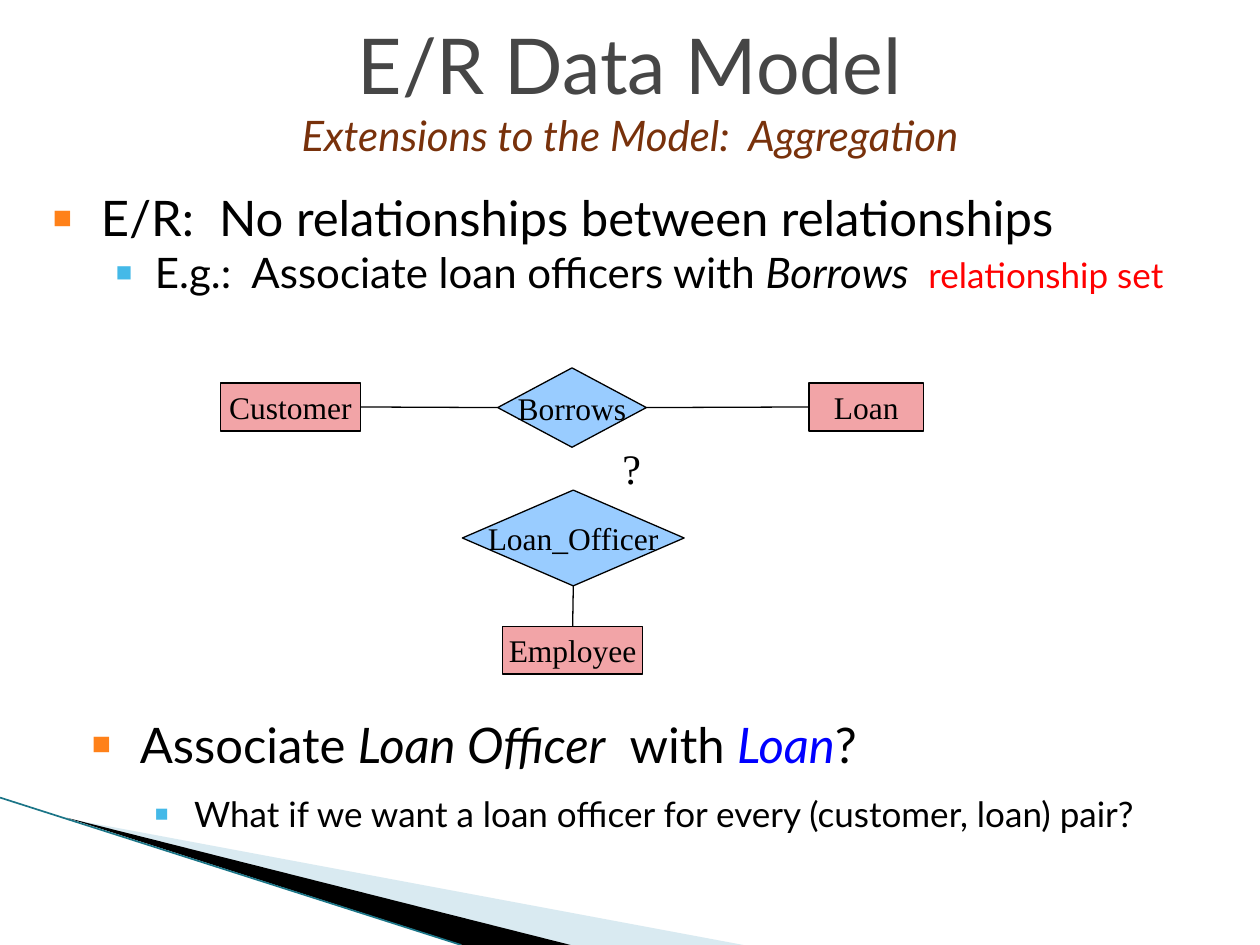
from dataclasses import dataclass

from lxml import etree
from pptx import Presentation
from pptx.dml.color import RGBColor
from pptx.enum.shapes import MSO_CONNECTOR, MSO_SHAPE
from pptx.enum.text import MSO_ANCHOR, MSO_AUTO_SIZE, PP_ALIGN
from pptx.oxml.ns import qn
from pptx.util import Inches, Pt

RECTANGLE, DIAMOND = MSO_SHAPE.RECTANGLE, MSO_SHAPE.DIAMOND
STRAIGHT = MSO_CONNECTOR.STRAIGHT
TOP, MIDDLE = MSO_ANCHOR.TOP, MSO_ANCHOR.MIDDLE
LEFT, CENTER = PP_ALIGN.LEFT, PP_ALIGN.CENTER
NO_AUTOFIT, GROW = MSO_AUTO_SIZE.NONE, MSO_AUTO_SIZE.SHAPE_TO_FIT_TEXT
SIDE_TOP, SIDE_LEFT, SIDE_BOTTOM, SIDE_RIGHT = range(4)


@dataclass(frozen=True)
class Theme:
    text_font: str = "Lato"
    diagram_font: str = "Times New Roman"
    title: str = "464646"
    subtitle: str = "78310B"
    text: str = "000000"
    alert: str = "FF0000"
    highlight: str = "0000FF"
    entity: str = "F2A4A7"
    relationship: str = "99CCFF"
    pale_wedge: str = "A0CBDC"
    edge: str = "1B7587"
    bullets: tuple = ("FF8119", "44B9E8")
    indents: tuple = ((0.38, -0.38), (0.81, -0.31))
    title_size: int = 44
    heading_size: int = 28
    body_size: int = 24
    detail_size: int = 20
    diagram_size: int = 18
    line_width: float = 0.75


class SlideBuilder:
    def __init__(self, slide, theme):
        self.slide = slide
        self.theme = theme

    def place(self, shape, left, top, width, height):
        box = {"left": left, "top": top, "width": width, "height": height}
        for name, value in box.items():
            setattr(shape, name, Inches(value))

    def frame(self, shape, **settings):
        for name, value in settings.items():
            setattr(shape.text_frame, name, value)
        return shape.text_frame

    def run(self, paragraph, text, size, color=None, font=None, italic=False):
        run = paragraph.add_run()
        run.text = text
        values = {"name": font or self.theme.text_font, "size": Pt(size),
                  "italic": italic, "bold": False}
        for name, value in values.items():
            setattr(run.font, name, value)
        run.font.color.rgb = RGBColor.from_string(color or self.theme.text)

    def title(self, box, heading, subtitle):
        theme, shape = self.theme, self.slide.shapes.title
        self.place(shape, *box)
        frame = self.frame(shape, vertical_anchor=MIDDLE, word_wrap=True,
                           auto_size=NO_AUTOFIT)
        paragraph = frame.paragraphs[0]
        paragraph.alignment = CENTER
        self.run(paragraph, heading, theme.title_size, theme.title)
        paragraph.add_line_break()
        self.run(paragraph, subtitle, theme.body_size, theme.subtitle, italic=True)

    def bullet(self, paragraph, level):
        properties = paragraph._p.get_or_add_pPr()
        margin, indent = self.theme.indents[level]
        properties.set("marL", str(Inches(margin)))
        properties.set("indent", str(Inches(indent)))
        color = etree.SubElement(properties, qn("a:buClr"))
        etree.SubElement(color, qn("a:srgbClr"), val=self.theme.bullets[level])
        etree.SubElement(properties, qn("a:buSzPct"), val="65000")
        etree.SubElement(properties, qn("a:buChar"), char="■")

    def bullet_list(self, index, box, items):
        """Fill a body placeholder; an item is (runs, space before, line spacing)."""
        shape = self.slide.placeholders[index]
        self.place(shape, *box)
        frame = self.frame(shape, vertical_anchor=TOP, word_wrap=True,
                           auto_size=NO_AUTOFIT)
        for level, (runs, space_before, line_spacing) in enumerate(items):
            paragraph = frame.add_paragraph() if level else frame.paragraphs[0]
            self.bullet(paragraph, level)
            values = {"level": level, "alignment": LEFT, "line_spacing": line_spacing,
                      "space_before": Pt(space_before), "space_after": Pt(0)}
            for name, value in values.items():
                setattr(paragraph, name, value)
            for text, style in runs:
                self.run(paragraph, text, **style)

    def node(self, kind, box, color, text):
        shape = self.slide.shapes.add_shape(kind, *map(Inches, box))
        shape.shadow.inherit = False
        shape.fill.solid()
        shape.fill.fore_color.rgb = RGBColor.from_string(color)
        shape.line.color.rgb = RGBColor.from_string(self.theme.text)
        shape.line.width = Pt(self.theme.line_width)
        frame = self.frame(shape, vertical_anchor=MIDDLE, word_wrap=False)
        paragraph = frame.paragraphs[0]
        paragraph.alignment = CENTER
        self.run(paragraph, text, self.theme.diagram_size,
                 font=self.theme.diagram_font)
        return shape

    def label(self, box, text, size):
        shape = self.slide.shapes.add_textbox(*map(Inches, box))
        frame = self.frame(shape, word_wrap=False, auto_size=GROW)
        self.run(frame.paragraphs[0], text, size, font=self.theme.diagram_font)

    def line(self, start, end, color, width):
        connector = self.slide.shapes.add_connector(
            STRAIGHT, *map(Inches, (*start, *end)))
        connector.line.color.rgb = RGBColor.from_string(color)
        connector.line.width = Pt(width)
        etree.SubElement(connector._element.spPr, qn("a:effectLst"))
        return connector

    def link(self, first, first_side, second, second_side):
        connector = self.line((0, 0), (1, 1), self.theme.text, self.theme.line_width)
        connector.begin_connect(first, first_side)
        connector.end_connect(second, second_side)

    def wedge(self, points, color, opacity=100):
        start, *others = [tuple(map(Inches, point)) for point in points]
        builder = self.slide.shapes.build_freeform(*start)
        builder.add_line_segments(others, close=True)
        shape = builder.convert_to_shape()
        shape.shadow.inherit = False
        shape.fill.solid()
        shape.fill.fore_color.rgb = RGBColor.from_string(color)
        shape.line.fill.background()
        if opacity < 100:
            fill_color = shape._element.spPr.find(f".//{qn('a:srgbClr')}")
            etree.SubElement(fill_color, qn("a:alpha"), val=str(opacity * 1000))
        return shape

    def corner(self):
        """Draw the corner decoration behind everything else."""
        theme = self.theme
        parts = [
            self.wedge([(0.55, 6.5), (5.9, 7.5), (4.52, 7.5)], theme.pale_wedge, 40),
            self.wedge([(0.53, 6.49), (4.53, 7.5), (3.67, 7.5)], theme.text),
            self.line((0, 6.33), (3.66, 7.5), theme.edge, 0.95),
        ]
        tree = self.slide.shapes._spTree
        for position, part in enumerate(parts, start=2):
            tree.insert(position, part._element)


def main():
    theme = Theme()
    presentation = Presentation()
    presentation.slide_width, presentation.slide_height = Inches(10), Inches(7.5)
    two_content = presentation.slide_layouts[3]
    builder = SlideBuilder(presentation.slides.add_slide(two_content), theme)

    builder.corner()
    builder.title((0, 0.08, 10, 1.25), "E/R Data Model",
                  "Extensions to the Model:  Aggregation")

    heading = {"size": theme.heading_size}
    body = {"size": theme.body_size}
    detail = {"size": theme.detail_size}
    builder.bullet_list(1, (0.32, 1.44, 9.5, 0.66), [
        ([("E/R:  No relationships between relationships", heading)], 0, 1.0),
        ([("E.g.:  Associate loan officers with ", body),
          ("Borrows  ", {**body, "italic": True}),
          ("relationship set", {**detail, "color": theme.alert})], 0, 1.0),
    ])
    builder.bullet_list(2, (0.63, 5.62, 9.28, 0.66), [
        ([("Associate ", heading),
          ("Loan Officer", {**heading, "italic": True}),
          ("  with ", heading),
          ("Loan", {**heading, "color": theme.highlight, "italic": True}),
          ("?", heading)], 0, 1.0),
        ([("What if we want a loan officer for every (customer, loan) pair?",
           detail)], 4, 1.3),
    ])

    customer = builder.node(RECTANGLE, (1.75, 3.04, 1.11, 0.38), theme.entity, "Customer")
    loan = builder.node(RECTANGLE, (6.42, 3.04, 0.91, 0.38), theme.entity, "Loan")
    borrows = builder.node(DIAMOND, (3.95, 2.92, 1.18, 0.63), theme.relationship, "Borrows")
    employee = builder.node(RECTANGLE, (3.99, 4.97, 1.11, 0.38), theme.entity, "Employee")
    officer = builder.node(DIAMOND, (3.67, 3.89, 1.76, 0.76), theme.relationship,
                           "Loan_Officer")
    builder.link(customer, SIDE_RIGHT, borrows, SIDE_LEFT)
    builder.link(borrows, SIDE_RIGHT, loan, SIDE_LEFT)
    builder.link(employee, SIDE_TOP, officer, SIDE_BOTTOM)
    builder.label((4.84, 3.46, 0.35, 0.5), "?", theme.body_size)

    presentation.save("out.pptx")


if __name__ == "__main__":
    main()
